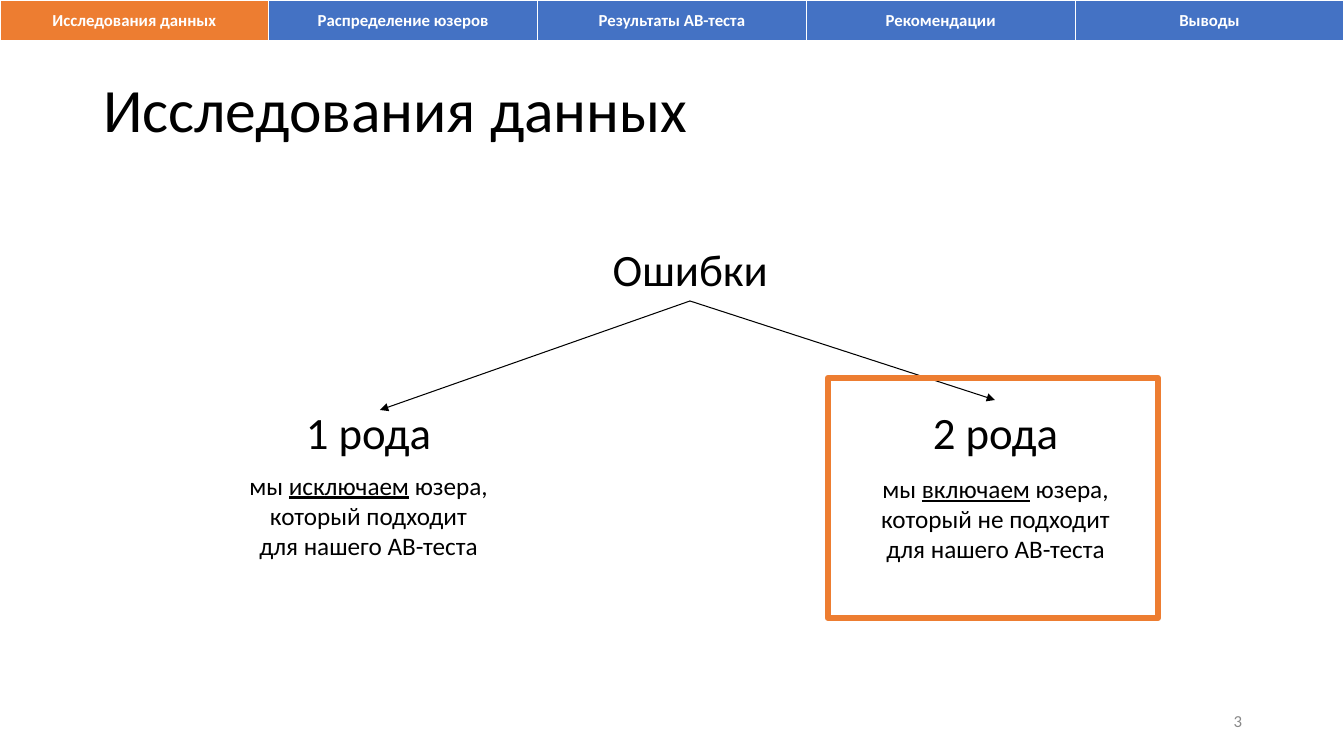
from lxml.etree import SubElement
from pptx import Presentation
from pptx.dml.color import RGBColor
from pptx.enum.shapes import MSO_CONNECTOR, MSO_SHAPE
from pptx.enum.text import MSO_ANCHOR, PP_ALIGN
from pptx.oxml.ns import qn
from pptx.util import Pt

PX = 914400 / 100.8
FONT = "Calibri"
BLACK = RGBColor(0x00, 0x00, 0x00)
WHITE = RGBColor(0xFF, 0xFF, 0xFF)
GRAY = RGBColor(0x88, 0x88, 0x88)
BLUE = RGBColor(0x44, 0x72, 0xC4)
ORANGE = RGBColor(0xED, 0x7D, 0x31)

SECTIONS = ["Исследования данных", "Распределение юзеров", "Результаты АВ-теста",
            "Рекомендации", "Выводы"]


def emu(*lengths):
    return [round(n * PX) for n in lengths]


def format_paragraph(p, size, color=BLACK, align=PP_ALIGN.CENTER, bold=False):
    p.alignment = align
    p.font.name, p.font.size, p.font.bold = FONT, Pt(size), bold
    p.font.color.rgb = color


def add_text(slide, box, runs, size, color=BLACK, align=PP_ALIGN.CENTER,
             anchor=MSO_ANCHOR.TOP):
    """Runs are (text, underlined) pairs."""
    tf = slide.shapes.add_textbox(*emu(*box)).text_frame
    tf.word_wrap = True
    tf.vertical_anchor = anchor
    p = tf.paragraphs[0]
    for text, underlined in runs:
        r = p.add_run()
        r.text = text
        if underlined:
            r.font.underline = True
    format_paragraph(p, size, color, align)


def add_arrow(slide, start, end):
    line = slide.shapes.add_connector(MSO_CONNECTOR.STRAIGHT, *emu(*start, *end))
    line.line.color.rgb = BLACK
    line.line.width = Pt(0.75)
    ln = line.line._get_or_add_ln()
    SubElement(ln, qn("a:tailEnd"), type="triangle")
    SubElement(ln.getparent(), qn("a:effectLst"))


def add_navigation(slide, box, active):
    table = slide.shapes.add_table(1, len(SECTIONS), *emu(*box)).table
    for i, name in enumerate(SECTIONS):
        cell = table.cell(0, i)
        cell.text = name
        cell.vertical_anchor = MSO_ANCHOR.MIDDLE
        cell.fill.solid()
        cell.fill.fore_color.rgb = ORANGE if i == active else BLUE
        format_paragraph(cell.text_frame.paragraphs[0], 12, WHITE, bold=True)


def add_title(slide, box, text):
    title = slide.shapes.title
    title.left, title.top, title.width, title.height = emu(*box)
    tf = title.text_frame
    tf.text = text
    tf.vertical_anchor = MSO_ANCHOR.MIDDLE
    format_paragraph(tf.paragraphs[0], 44, align=PP_ALIGN.LEFT)
    tf.paragraphs[0].line_spacing = 0.9


def add_branch(slide, box, heading, note):
    """Heading at the top of the box, explanation at its bottom."""
    x, y, w, h = box
    note_h = 102
    add_text(slide, (x, y, w, 65), [(heading, False)], 32)
    add_text(slide, (x, y + h - note_h, w, note_h), note, 18)


def add_frame(slide, box):
    s = slide.shapes.add_shape(MSO_SHAPE.RECTANGLE, *emu(*box))
    s.shadow.inherit = False
    s.fill.background()
    s.line.color.rgb = ORANGE
    s.line.width = Pt(4.5)


def add_error_tree(slide, box):
    x, y, w, h = box
    # Root and its two arrows
    root = (x + 452, y + 64)
    add_text(slide, (x + 364, y, 177, 65), [("Ошибки", False)], 32)
    for end in [(x + 142, y + 173), (x + 757, y + 163)]:
        add_arrow(slide, root, end)
    # Error types
    add_branch(slide, (x, y + 163, 261, 167), "1 рода",
               [("мы ", False), ("исключаем", True),
                (" юзера, который подходит для нашего АВ-теста", False)])
    add_branch(slide, (x + 627, y + 163, 261, 170), "2 рода",
               [("мы ", False), ("включаем", True),
                (" юзера, который не подходит для нашего АВ-теста", False)])
    # Highlight of the second type
    add_frame(slide, (x + w - 330, y + h - 240, 330, 240))


prs = Presentation()
prs.slide_width, prs.slide_height = emu(1344, 756)
slide = prs.slides.add_slide(prs.slide_layouts[5])

add_title(slide, (93, 40, 1159, 146), SECTIONS[0])
add_error_tree(slide, (238, 237, 920, 381))
# Page number
add_text(slide, (950, 701, 302, 40), [("3", False)], 12, GRAY,
         PP_ALIGN.RIGHT, MSO_ANCHOR.MIDDLE)
add_navigation(slide, (0, 0, 1344, 41), active=0)

prs.save("out.pptx")
